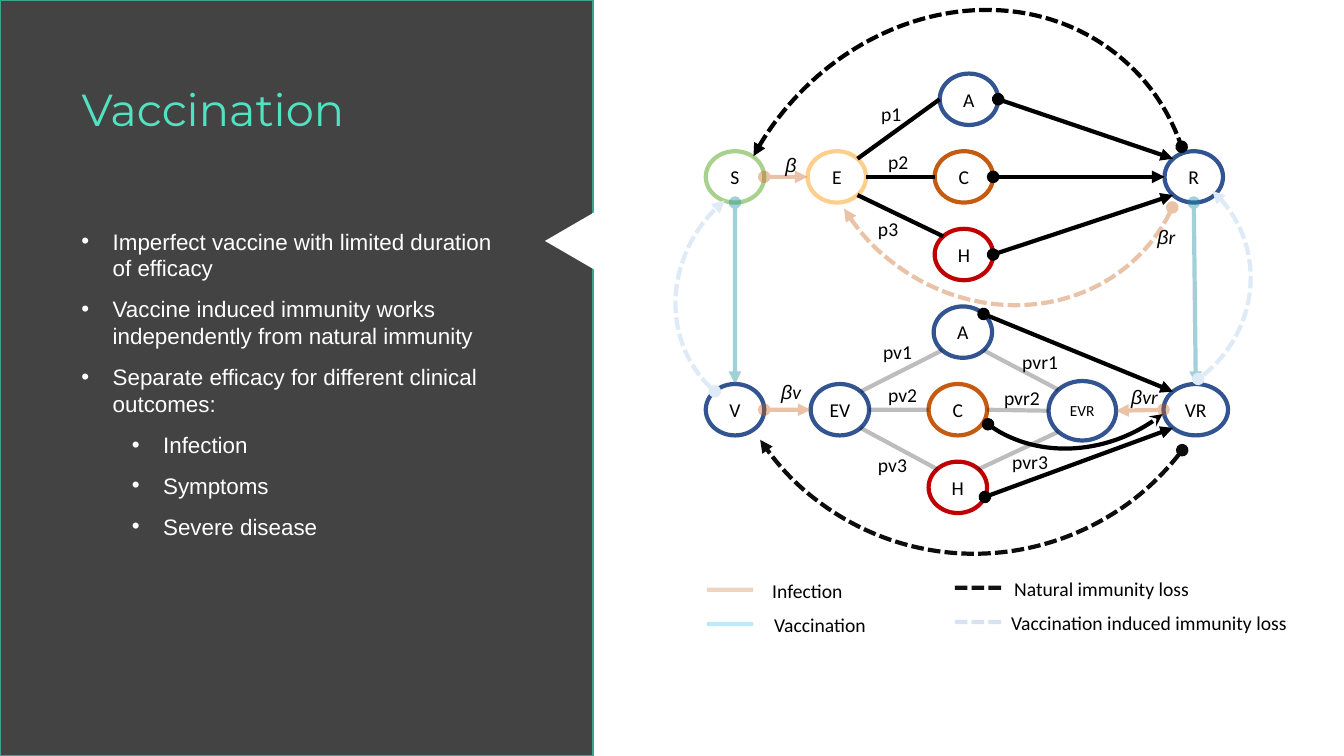
from dataclasses import dataclass
from math import cos, radians, sin
from lxml.etree import SubElement
from pptx import Presentation
from pptx.dml.color import RGBColor
from pptx.enum.dml import MSO_LINE
from pptx.enum.shapes import MSO_CONNECTOR, MSO_SHAPE
from pptx.enum.text import MSO_ANCHOR, MSO_AUTO_SIZE, PP_ALIGN
from pptx.oxml.ns import qn
from pptx.util import Inches, Pt


@dataclass(frozen=True)
class Theme:
    dark: str = "434343"
    edge: str = "3AA48C"
    mint: str = "50E2C1"
    white: str = "FFFFFF"
    black: str = "000000"
    soot: str = "0D0D0D"
    blue: str = "325491"
    green: str = "A9D18E"
    sand: str = "FCCF8C"
    red: str = "C00000"
    rust: str = "C55A11"
    teal: str = "218FA5"
    sky: str = "00B0F0"
    ice: str = "DEEBF7"
    royal: str = "4472C4"
    head: str = "Montserrat"
    body: str = "Arial"
    note: str = "Calibri"
    big: int = 32
    mid: int = 16
    small: int = 14
    tiny: int = 11
    thick: int = 3


T = Theme()


def write(para, text, font=T.note, size=T.small, color=T.black, italic=False):
    run = para.add_run()
    run.text = text
    run.font.name = font
    run.font.size = Pt(size)
    run.font.italic = italic
    run.font.color.rgb = RGBColor.from_string(color)


def stroke(line, color, width=T.thick, alpha=100, dash=False, head=None, tail=None):
    line.width = Pt(width)
    line.fill.solid()
    line.fill.fore_color.rgb = RGBColor.from_string(color)
    if dash:
        line.dash_style = MSO_LINE.SQUARE_DOT
    xml = line._get_or_add_ln()
    if alpha < 100:
        tint = xml.find(".//" + qn("a:srgbClr"))
        SubElement(tint, qn("a:alpha"), val=str(alpha * 1000))
    for tag, kind in (("a:headEnd", head), ("a:tailEnd", tail)):
        if kind:
            SubElement(xml, qn(tag), type=kind)


def draw(slide, kind, x, y, w, h, fill=None):
    shape = slide.shapes.add_shape(kind, Inches(x), Inches(y), Inches(w), Inches(h))
    shape.shadow.inherit = False
    if fill:
        shape.fill.solid()
        shape.fill.fore_color.rgb = RGBColor.from_string(fill)
    else:
        shape.fill.background()
    return shape


def join(slide, start, end, color, **look):
    ends = [Inches(v) for v in (*start, *end)]
    link = slide.shapes.add_connector(MSO_CONNECTOR.STRAIGHT, *ends)
    stroke(link.line, color, **look)
    SubElement(link._element.spPr, qn("a:effectLst"))


def label(slide, x, y, w, text):
    box = slide.shapes.add_textbox(Inches(x), Inches(y), Inches(w), Inches(0.34))
    frame = box.text_frame
    frame.word_wrap = True
    frame.margin_right = 0
    para = frame.paragraphs[0]
    greek = text.startswith("β")
    if greek:
        write(para, "β", font=T.body, italic=True)
        text = text[1:]
    if text:
        write(para, text, italic=greek)


def side(slide, x, y, w, h):
    panel = draw(slide, MSO_SHAPE.RECTANGLE, x, y, w, h, T.dark)
    stroke(panel.line, T.edge, width=1)
    title = slide.shapes.title
    title._element.addprevious(panel._element)
    title.left, title.top = Inches(x + 0.71), Inches(y + 0.82)
    title.width, title.height = Inches(3.74), Inches(1.14)
    frame = title.text_frame
    frame.auto_size = MSO_AUTO_SIZE.NONE
    frame.vertical_anchor = MSO_ANCHOR.TOP
    para = frame.paragraphs[0]
    para.alignment = PP_ALIGN.LEFT
    para.line_spacing = 0.9
    write(para, "Vaccination", font=T.head, size=T.big, color=T.mint)

    points = [
        (0, "Imperfect vaccine with limited duration of efficacy"),
        (0, "Vaccine induced immunity works independently from natural immunity"),
        (0, "Separate efficacy for different clinical outcomes:"),
        (1, "Infection"),
        (1, "Symptoms"),
        (1, "Severe disease"),
    ]
    box = slide.shapes.add_textbox(Inches(x + 0.71), Inches(y + 2.21), Inches(4.39), Inches(4.21))
    frame = box.text_frame
    frame.word_wrap = True
    for i, (level, text) in enumerate(points):
        para = frame.add_paragraph() if i else frame.paragraphs[0]
        para.level = level
        para.space_before = Pt(10)
        write(para, text, font=T.body, size=T.mid, color=T.white)
        props = para._p.get_or_add_pPr()
        props.set("marL", str(Inches(0.31 + 0.5 * level)))
        props.set("indent", str(-Inches(0.31)))
        SubElement(SubElement(props, qn("a:buClr")), qn("a:srgbClr"), val=T.white)
        SubElement(props, qn("a:buFont"), typeface=T.body)
        SubElement(props, qn("a:buChar"), char="•")

    notch = draw(slide, MSO_SHAPE.ISOSCELES_TRIANGLE, x + w - 0.55, y + 1.92, 1.09, 0.94, T.white)
    notch.rotation = 270
    notch.line.fill.background()


def model(slide, x, y):
    nodes = {
        "S": (0, 1.5, T.green), "E": (1.01, 1.5, T.sand), "R": (4.55, 1.5, T.blue),
        "A": (2.32, 0.73, T.blue), "C": (2.27, 1.5, T.rust), "H": (2.27, 2.27, T.red),
        "V": (0, 3.81, T.blue), "EV": (1.04, 3.81, T.blue), "VR": (4.54, 3.81, T.blue),
        "A2": (2.26, 3.04, T.blue), "C2": (2.21, 3.81, T.rust), "H2": (2.21, 4.58, T.red),
        "EVR": (3.4, 3.78, T.blue),
    }
    sizes = {"VR": (0.64, 0.51), "EVR": (0.67, 0.59)}

    def spot(name, turn):
        left, top, _ = nodes[name]
        w, h = sizes.get(name, (0.58, 0.51))
        angle = radians(turn)
        return x + left + w / 2 * (1 + cos(angle)), y + top + h / 2 * (1 + sin(angle))

    for name, (left, top, color) in nodes.items():
        w, h = sizes.get(name, (0.58, 0.51))
        node = draw(slide, MSO_SHAPE.OVAL, x + left, y + top, w, h)
        stroke(node.line, color)
        frame = node.text_frame
        frame.margin_left = frame.margin_right = frame.margin_top = frame.margin_bottom = 0
        frame.vertical_anchor = MSO_ANCHOR.MIDDLE
        frame.paragraphs[0].alignment = PP_ALIGN.CENTER
        write(frame.paragraphs[0], name.rstrip("2"), size=T.tiny if name == "EVR" else T.small)

    arrow = dict(head="oval", tail="triangle")
    groups = [
        (dict(color=T.black), [("E", 315, "A", 180), ("C", 180, "E", 0), ("E", 45, "H", 225)]),
        (dict(color=T.black, alpha=26), [
            ("EV", 45, "H2", 225), ("EVR", 135, "H2", 315), ("EV", 0, "C2", 180),
            ("EV", 315, "A2", 135), ("EVR", 180, "C2", 0), ("EVR", 225, "A2", 45)]),
        (dict(color=T.teal, alpha=41, **arrow), [("S", 90, "V", 270), ("R", 90, "VR", 270)]),
        (dict(color=T.rust, alpha=37, **arrow), [
            ("S", 0, "E", 180), ("V", 0, "EV", 180), ("VR", 180, "EVR", 0)]),
        (dict(color=T.black, **arrow), [
            ("A", 0, "R", 225), ("C", 0, "R", 180), ("H", 0, "R", 135),
            ("A2", 315, "VR", 225), ("H2", 22, "VR", 135)]),
    ]
    for look, links in groups:
        for a, out, b, into in links:
            join(slide, spot(a, out), spot(b, into), **look)

    back = dict(head="triangle", tail="oval", dash=True)
    loss = dict(dash=True, **arrow)
    arcs = [
        (2.28, 1.84, 2.9, 2.55, 144.9, 159.78, 207.3, dict(color=T.black, head="stealth", tail="oval")),
        (-0.25, 1.62, 2.4, 2.59, 226.4, 159.18, 2.52, dict(color=T.ice, **loss)),
        (3.01, 1.57, 2.37, 2.45, 50.5, 157.25, 2.37, dict(color=T.ice, **back)),
        (-0.04, 0.29, 5.07, 4.46, 308.5, 154.29, 15.57, dict(color=T.black, **back)),
        (0.09, 0.34, 5.18, 5.14, 124.5, 163.66, 12.79, dict(color=T.soot, **loss)),
        (1.18, -0.67, 3.5, 3.79, 126.6, 155.74, 14.96, dict(color=T.rust, alpha=36, **loss)),
    ]
    for left, top, w, h, turn, start, end, look in arcs:
        arc = draw(slide, MSO_SHAPE.ARC, x + left, y + top, w, h)
        arc.adjustments[0], arc.adjustments[1] = start, end
        arc.rotation = turn
        stroke(arc.line, **look)

    tags = [
        ("p1", 1.64, 0.96, 0.53), ("p2", 1.71, 1.44, 0.53), ("p3", 1.61, 2.1, 0.53),
        ("pv1", 1.66, 3.32, 0.53), ("pv2", 1.71, 3.75, 0.51), ("pv3", 1.61, 4.44, 0.53),
        ("pvr1", 3.04, 3.42, 0.56), ("pvr2", 2.86, 3.78, 0.56), ("pvr3", 2.94, 4.41, 0.56),
        ("β", 0.69, 1.47, 0.24), ("βv", 0.65, 3.72, 0.41),
        ("βvr", 4.12, 3.77, 0.51), ("βr", 4.38, 2.18, 0.41),
    ]
    for text, left, top, w in tags:
        label(slide, x + left, y + top, w, text)


def legend(slide, x, y):
    keys = [
        ("Infection", 0, 0.18, 0.55, 1.25, dict(color=T.rust, alpha=26)),
        ("Vaccination", 0, 0.52, 0.57, 1.46, dict(color=T.sky, alpha=26)),
        ("Natural immunity loss", 2.46, 0.16, 0.49, 2.22, dict(color=T.black, alpha=92, dash=True)),
        ("Vaccination induced immunity loss", 2.46, 0.5, 0.46, 3.18,
         dict(color=T.royal, alpha=20, dash=True)),
    ]
    for text, left, mid, gap, w, look in keys:
        join(slide, (x + left, y + mid), (x + left + 0.46, y + mid), **look)
        label(slide, x + left + gap, y + mid - 0.16, w, text)


def main():
    deck = Presentation()
    deck.slide_width, deck.slide_height = Inches(13.33), Inches(7.5)
    slide = deck.slides.add_slide(deck.slide_layouts[5])
    side(slide, 0, 0, 5.88, 7.5)
    model(slide, 7, 0)
    legend(slide, 7.01, 5.67)
    deck.save("out.pptx")


if __name__ == "__main__":
    main()
